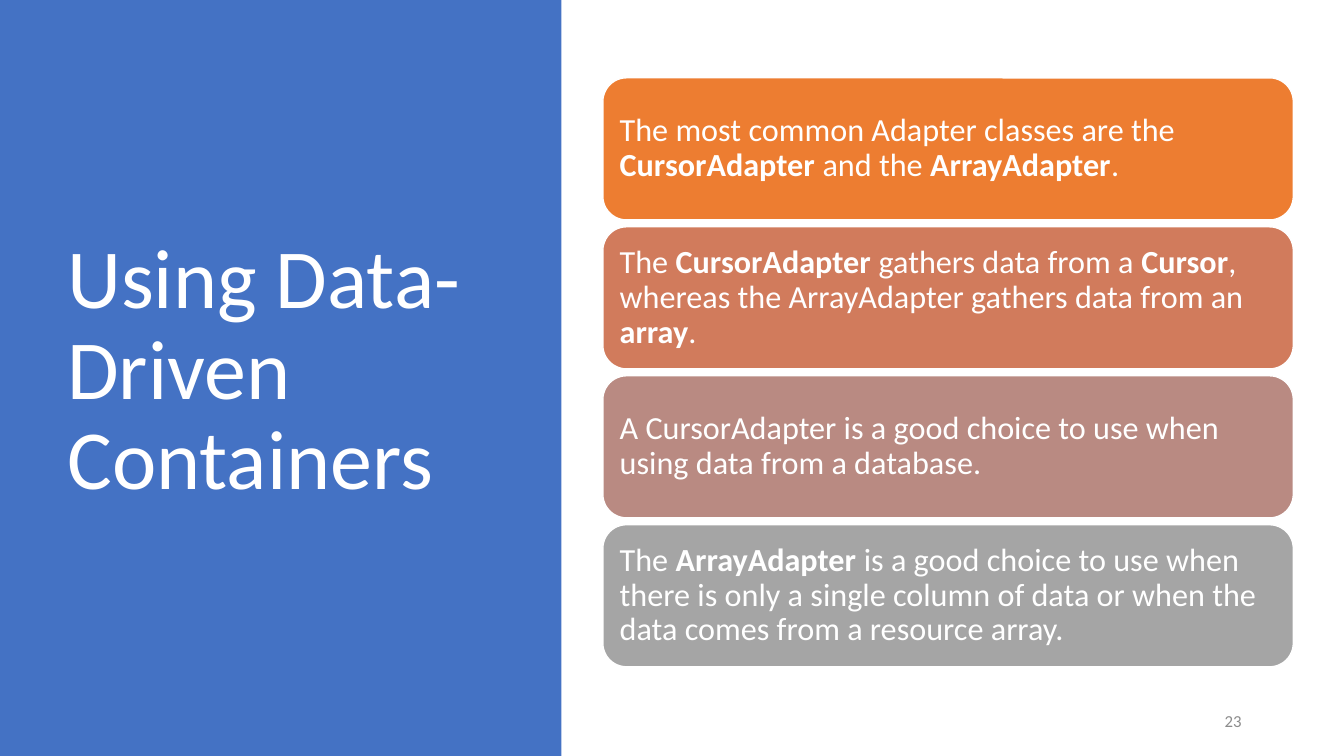
"""Build the slide on data-driven containers."""
import pptx
import pptx.util
import pptx.dml.color
import pptx.enum.shapes
import pptx.enum.text

Pt = pptx.util.Pt
Shape = pptx.enum.shapes.MSO_SHAPE
Align = pptx.enum.text.PP_ALIGN

TITLE = "Using Data-Driven Containers"
NUMBER = "23"
CARDS = [
    ("ED7D31", [("The most common Adapter classes are the ", False),
                ("CursorAdapter", True), (" and the ", False),
                ("ArrayAdapter", True), (".", False)]),
    ("D17B5C", [("The ", False), ("CursorAdapter", True),
                (" gathers data from a ", False), ("Cursor", True),
                (", whereas the ArrayAdapter gathers data from an ", False),
                ("array", True), (".", False)]),
    ("B98A82", [("A CursorAdapter is a good choice to use when "
                 "using data from a database.", False)]),
    ("A5A5A5", [("The ", False), ("ArrayAdapter", True),
                (" is a good choice to use when there is only a single column "
                 "of data or when the data comes from a resource array.", False)]),
]
LEFT, TOP, WIDTH, HEIGHT, GAP = 430.6, 55.6, 493.2, 101.5, 4.9


def color(text):
    return pptx.dml.color.RGBColor.from_string(text)


def block(kind, box, fill, line=None):
    shape = slide.shapes.add_shape(kind, *map(Pt, box))
    shape.shadow.inherit = False
    shape.fill.solid()
    shape.fill.fore_color.rgb = color(fill)
    if line:
        shape.line.color.rgb = color(line)
        shape.line.width = Pt(1)
    else:
        shape.line.fill.background()
    return shape


def write(shape, runs, size, ink="FFFFFF", align=Align.LEFT, space=0.9):
    frame = shape.text_frame
    frame.word_wrap = True
    frame.vertical_anchor = pptx.enum.text.MSO_ANCHOR.MIDDLE
    frame.margin_left = frame.margin_right = Pt(7.2)
    para = frame.paragraphs[0]
    para.alignment = align
    para.line_spacing = space
    for text, bold in runs:
        run = para.add_run()
        run.text = text
        run.font.name = "Calibri"
        run.font.size = Pt(size)
        run.font.bold = bold
        run.font.color.rgb = color(ink)


def label(box, text, size, **style):
    write(slide.shapes.add_textbox(*map(Pt, box)), [(text, False)], size, **style)


deck = pptx.Presentation()
deck.slide_width, deck.slide_height = Pt(960), Pt(540)
slide = deck.slides.add_slide(deck.slide_layouts[6])

block(Shape.RECTANGLE, (0, 0, 401, 540), "4472C4")
label((41, 49, 299.5, 433.4), TITLE, 60)
label((678, 500.5, 216, 28.8), NUMBER, 12, ink="8C8C8C", align=Align.RIGHT, space=1.0)

for row, (fill, runs) in enumerate(CARDS):
    top = TOP + row * (HEIGHT + GAP)
    card = block(Shape.ROUNDED_RECTANGLE, (LEFT, top, WIDTH, HEIGHT), fill, "FFFFFF")
    write(card, runs, 23)

deck.save("out.pptx")
